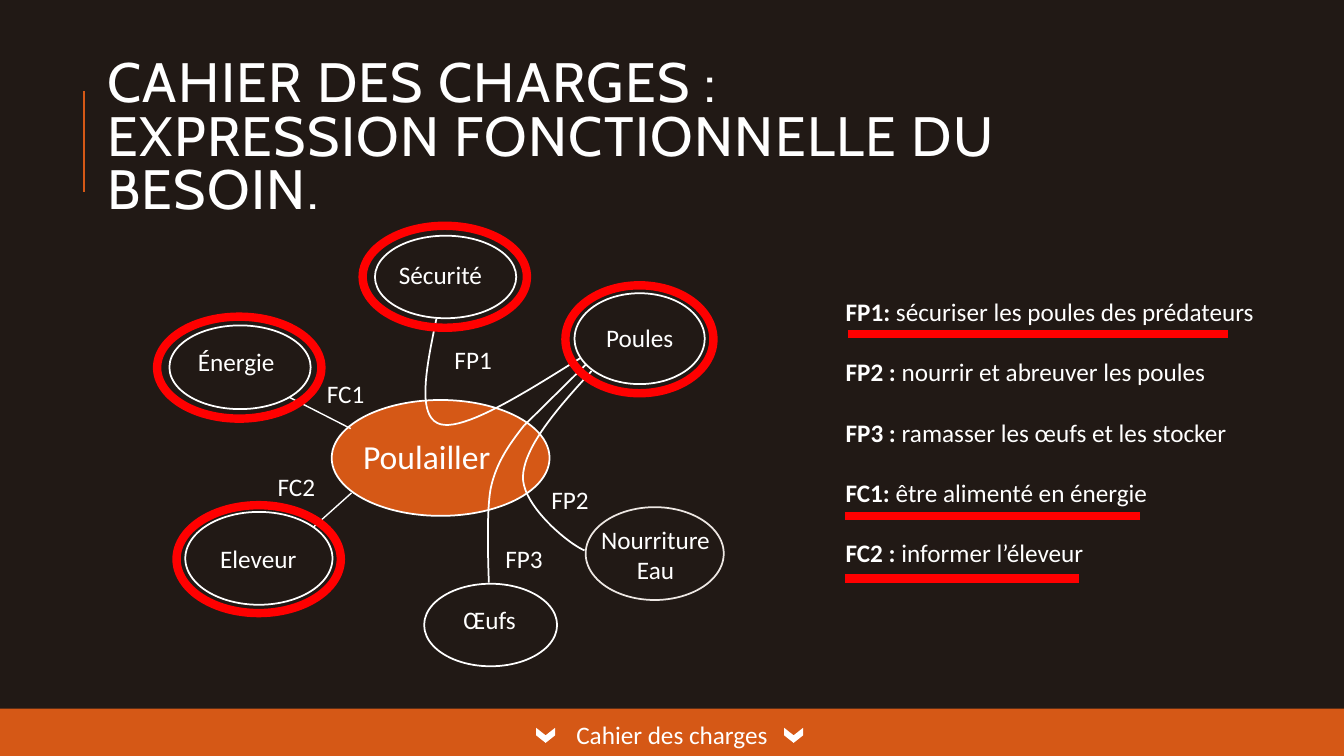
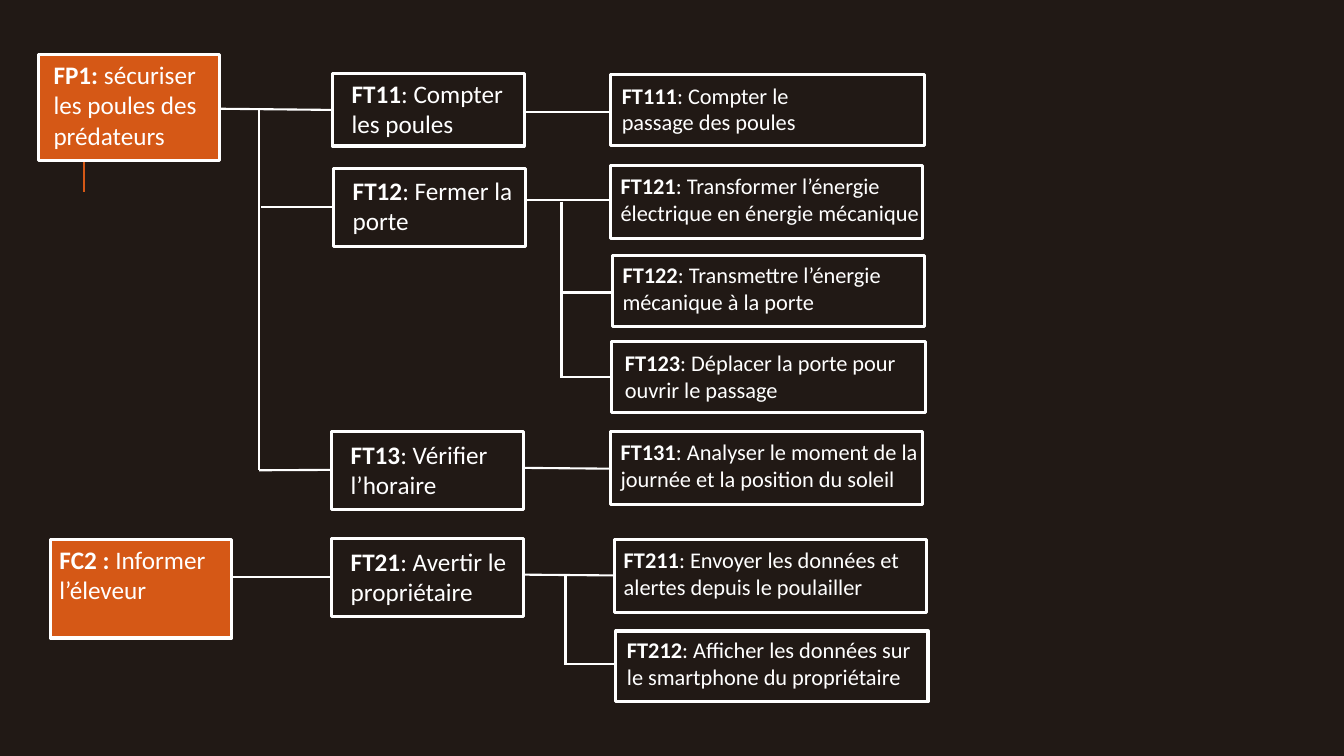
import pptx
import pptx.util
import pptx.dml.color
import pptx.enum.shapes
import pptx.enum.text
import pptx.oxml.ns
import lxml.etree

Cm = pptx.util.Cm
Pt = pptx.util.Pt
SHAPE = pptx.enum.shapes.MSO_SHAPE
ALIGN = pptx.enum.text.PP_ALIGN
ANCHOR = pptx.enum.text.MSO_ANCHOR

COLORS = {
    "background": "211915",
    "accent": "D55816",
    "white": "FFFFFF",
    "pale": "EDE7E3",
    "red": "FF0000",
}
BODY_FONT = "Calibri"
TITLE_FONT = "Cabin"

ACTORS = [
    (4.27, 8.2, 3.56, 2.11, "white"),
    (14.48, 7.39, 3.28, 2.29, "white"),
    (10.69, 14.71, 3.35, 2.08, "white"),
    (14.76, 12.78, 3.48, 2.34, "pale"),
    (9.45, 5.94, 3.56, 2.08, "white"),
    (4.67, 12.9, 3.71, 2.34, "white"),
]
LABELS = [
    ("Poules", 14.45, 8, 3.35),
    ("Œufs", 10.64, 15.11, 3.4),
    ("Sécurité", 8.61, 6.4, 4.98),
    ("Nourriture Eau", 14.88, 13.08, 3.28),
    ("Énergie", 4.42, 8.61, 3.07),
    ("Eleveur", 4.95, 13.56, 3.12),
    ("FC1", 7.95, 9.42, 1.52),
    ("FC2", 6.71, 11.76, 1.52),
    ("FP1", 11.05, 8.56, 1.75),
    ("FP2", 13.49, 12.09, 1.75),
    ("FP3", 12.33, 13.56, 1.75),
]
FUNCTION_CURVES = [
    [(11, 8.03), (10.74, 9.27), (10.49, 10.52), (11.1, 10.69),
     (11.71, 10.85), (13.18, 9.93), (14.63, 9.02)],
    [(14.91, 9.35), (14.05, 10.29), (13.21, 11.25), (13.18, 12.01),
     (13.16, 12.75), (14.35, 13.72), (14.73, 13.87)],
    [(13.21, 10.72), (12.85, 11.18), (12.52, 11.63), (12.37, 12.29),
     (12.24, 12.95), (12.32, 14.53), (12.32, 14.68)],
]
ACTOR_LINKS = [
    (7.29, 10.01, 8.84, 10.8, 1),
    (7.9, 13.28, 8.86, 12.42, 1),
    (13.21, 10.72, 14.76, 9.19, 1.25),
]
RINGS = [
    (9.14, 5.69, 4.14, 2.57),
    (14.25, 7.19, 3.73, 2.72),
    (3.96, 7.98, 4.14, 2.57),
    (4.45, 12.73, 4.14, 2.72),
]
UNDERLINES = [(21.36, 8.41, 30.94), (21.29, 13, 28.73), (21.29, 14.58, 27.18)]
FUNCTIONS = [
    ("FP1: ", "sécuriser les poules des prédateurs"),
    ("FP2 : ", "nourrir et abreuver les poules"),
    ("FP3 : ", "ramasser les œufs et les stocker"),
    ("FC1: ", "être alimenté en énergie"),
    ("FC2 : ", "informer l’éleveur"),
]

MAIN_BOXES = [
    (0.97, 1.37, 4.57, 2.67, 0.38, 0.13, "FP1: ", "sécuriser les poules des prédateurs"),
    (1.27, 13.59, 4.57, 2.49, 0.23, 0.13, "FC2 : ", "Informer l’éleveur"),
]
SUB_BOXES = [
    (8.38, 1.85, 4.83, 1.83, 0.48, 0.13, "FT11", ": Compter les poules"),
    (8.41, 4.24, 4.83, 1.98, 0.48, 0.18, "FT12", ": Fermer la porte"),
    (8.36, 10.87, 4.83, 1.98, 0.48, 0.2, "FT13", ": Vérifier l’horaire"),
    (8.36, 13.56, 4.83, 1.98, 0.48, 0.2, "FT21", ": Avertir le propriétaire"),
]
DETAIL_BOXES = [
    (15.39, 1.88, 7.9, 1.78, 0.28, 0.18, "FT111", ": Compter le passage des poules", 2.9),
    (15.39, 4.17, 7.87, 1.85, 0.25, 0.18, "FT121",
     ": Transformer l’énergie électrique en énergie mécanique"),
    (15.44, 6.45, 7.87, 1.78, 0.25, 0.13, "FT122", ": Transmettre l’énergie mécanique à la porte"),
    (15.42, 8.61, 7.9, 1.78, 0.33, 0.2, "FT123", ": Déplacer la porte pour ouvrir le passage"),
    (15.39, 10.87, 7.87, 1.85, 0.25, 0.18, "FT131",
     ": Analyser le moment de la journée et la position du soleil"),
    (15.49, 13.59, 7.87, 1.85, 0.23, 0.18, "FT211",
     ": Envoyer les données et alertes depuis le poulailler"),
    (15.52, 15.9, 7.87, 1.78, 0.28, 0.13, "FT212",
     ": Afficher les données sur le smartphone du propriétaire", 0.25),
]
TREE_LINES = [
    (5.54, 2.74, 8.38, 2.77),
    (6.53, 2.72, 6.53, 11.84),
    (6.58, 5.21, 8.41, 5.21),
    (6.53, 11.85, 8.36, 11.84),
    (13.18, 2.82, 15.34, 2.82),
    (13.23, 5.05, 15.39, 5.05),
    (14.15, 5.08, 14.15, 9.52),
    (14.15, 7.37, 15.42, 7.37),
    (14.15, 9.5, 15.42, 9.5),
    (13.23, 11.79, 15.39, 11.81),
    (5.87, 14.55, 8.36, 14.55),
    (13.18, 14.48, 15.47, 14.5),
    (14.25, 14.48, 14.25, 16.76),
    (14.25, 16.74, 15.49, 16.74),
]


def rgb(name):
    return pptx.dml.color.RGBColor.from_string(COLORS[name])


def style_font(font, size, name=BODY_FONT):
    font.size = Pt(size)
    font.name = name
    font.color.rgb = rgb("white")


def style_shape(sp, fill=None, line=None, width=1.25):
    sp.shadow.inherit = False
    if fill:
        sp.fill.solid()
        sp.fill.fore_color.rgb = rgb(fill)
    else:
        sp.fill.background()
    if line:
        sp.line.color.rgb = rgb(line)
        sp.line.width = Pt(width)
    else:
        sp.line.fill.background()


def add_shape(s, kind, x, y, w, h, fill=None, line=None, width=1.25):
    sp = s.shapes.add_shape(kind, Cm(x), Cm(y), Cm(w), Cm(h))
    style_shape(sp, fill, line, width)
    return sp


def add_line(s, x1, y1, x2, y2, color="white", width=1.5):
    sp = s.shapes.add_connector(pptx.enum.shapes.MSO_CONNECTOR.STRAIGHT,
                                Cm(x1), Cm(y1), Cm(x2), Cm(y2))
    sp.line.color.rgb = rgb(color)
    sp.line.width = Pt(width)
    lxml.etree.SubElement(sp._element.spPr, pptx.oxml.ns.qn("a:effectLst"))


def bezier(points, t):
    weights = ((1 - t) ** 3, 3 * t * (1 - t) ** 2, 3 * t ** 2 * (1 - t), t ** 3)
    return tuple(Cm(sum(k * p[axis] for k, p in zip(weights, points))) for axis in (0, 1))


def add_curve(s, points, steps=20):
    dots = [bezier(points[i:i + 4], n / steps)
            for i in range(0, len(points) - 1, 3) for n in range(1, steps + 1)]
    builder = s.shapes.build_freeform(Cm(points[0][0]), Cm(points[0][1]))
    builder.add_line_segments(dots, close=False)
    style_shape(builder.convert_to_shape(), line="white")


def add_text_frame(s, x, y, w, h):
    tf = s.shapes.add_textbox(Cm(x), Cm(y), Cm(w), Cm(h)).text_frame
    tf.word_wrap = True
    return tf


def add_label(s, text, x, y, w, h=1.02, size=18):
    p = add_text_frame(s, x, y, w, h).paragraphs[0]
    p.text = text
    p.alignment = ALIGN.CENTER
    style_font(p.font, size)


def fill_coded(p, code, text, size):
    style_font(p.font, size)
    p.alignment = ALIGN.LEFT
    for part, bold in ((code, True), (text, False)):
        r = p.add_run()
        r.text = part
        r.font.bold = bold


def add_box(s, x, y, w, h, dx, dy, code, text, right=0, fill=None, size=18):
    sp = add_shape(s, SHAPE.RECTANGLE, x, y, w, h, fill, "white", 2.25)
    tf = sp.text_frame
    tf.word_wrap = True
    tf.vertical_anchor = ANCHOR.TOP
    tf.margin_left, tf.margin_top = Cm(dx), Cm(dy)
    tf.margin_right, tf.margin_bottom = Cm(right), Cm(0)
    fill_coded(tf.paragraphs[0], code, text, size)


def add_title(s, text):
    tf = add_text_frame(s, 2.46, 1.45, 27, 4.16)
    tf.vertical_anchor = ANCHOR.MIDDLE
    p = tf.paragraphs[0]
    p.text = text
    p.line_spacing = 0.8
    style_font(p.font, 39.6, TITLE_FONT)
    for r in p.runs:
        r._r.get_or_add_rPr().set("spc", "100")


def add_footer(s, text):
    sp = add_shape(s, SHAPE.RECTANGLE, 0, 17.86, 33.87, 1.3, "accent")
    sp.text_frame.vertical_anchor = ANCHOR.MIDDLE
    p = sp.text_frame.paragraphs[0]
    p.text = text
    p.alignment = ALIGN.CENTER
    style_font(p.font, 18)
    for x in (13.56, 19.81):
        add_shape(s, SHAPE.CHEVRON, x, 18.29, 0.38, 0.48, "white").rotation = 90


def add_slide(prs):
    s = prs.slides.add_slide(prs.slide_layouts[6])
    s.background.fill.solid()
    s.background.fill.fore_color.rgb = rgb("background")
    add_line(s, 2.11, 4.83, 2.11, 2.29, "accent")
    return s


def add_function_list(s):
    tf = add_text_frame(s, 21.06, 7.34, 11.25, 7.95)
    for i, (code, text) in enumerate(FUNCTIONS):
        p = tf.add_paragraph() if i else tf.paragraphs[0]
        p.space_before = Pt(21.5 if i else 0)
        fill_coded(p, code, text, 18)


def build_needs(prs):
    s = add_slide(prs)
    add_title(s, "CAHIER DES CHARGES : \vEXPRESSION FONCTIONNELLE DU BESOIN.")
    add_shape(s, SHAPE.OVAL, 8.36, 10.08, 5.49, 2.92, "accent", "white")
    for x, y, w, h, line in ACTORS:
        add_shape(s, SHAPE.OVAL, x, y, w, h, "background", line)
    add_label(s, "Poulailler", 8.23, 10.85, 5.05, 1.27, 24)
    for label in LABELS:
        add_label(s, *label)
    add_function_list(s)
    for points in FUNCTION_CURVES:
        add_curve(s, points)
    for x1, y1, x2, y2, width in ACTOR_LINKS:
        add_line(s, x1, y1, x2, y2, width=width)
    for ring in RINGS:
        add_shape(s, SHAPE.OVAL, *ring, line="red", width=6)
    for x1, y, x2 in UNDERLINES:
        add_line(s, x1, y, x2, y, "red", 6)
    add_footer(s, "Cahier des charges")


def build_tree(prs):
    s = add_slide(prs)
    for box in MAIN_BOXES:
        add_box(s, *box, fill="accent")
    for box in SUB_BOXES:
        add_box(s, *box)
    for box in DETAIL_BOXES:
        add_box(s, *box, size=16)
    for line in TREE_LINES:
        add_line(s, *line)


def main():
    prs = pptx.Presentation()
    prs.slide_width, prs.slide_height = Cm(33.87), Cm(19.05)
    build_needs(prs)
    build_tree(prs)
    prs.save("out.pptx")


main()
